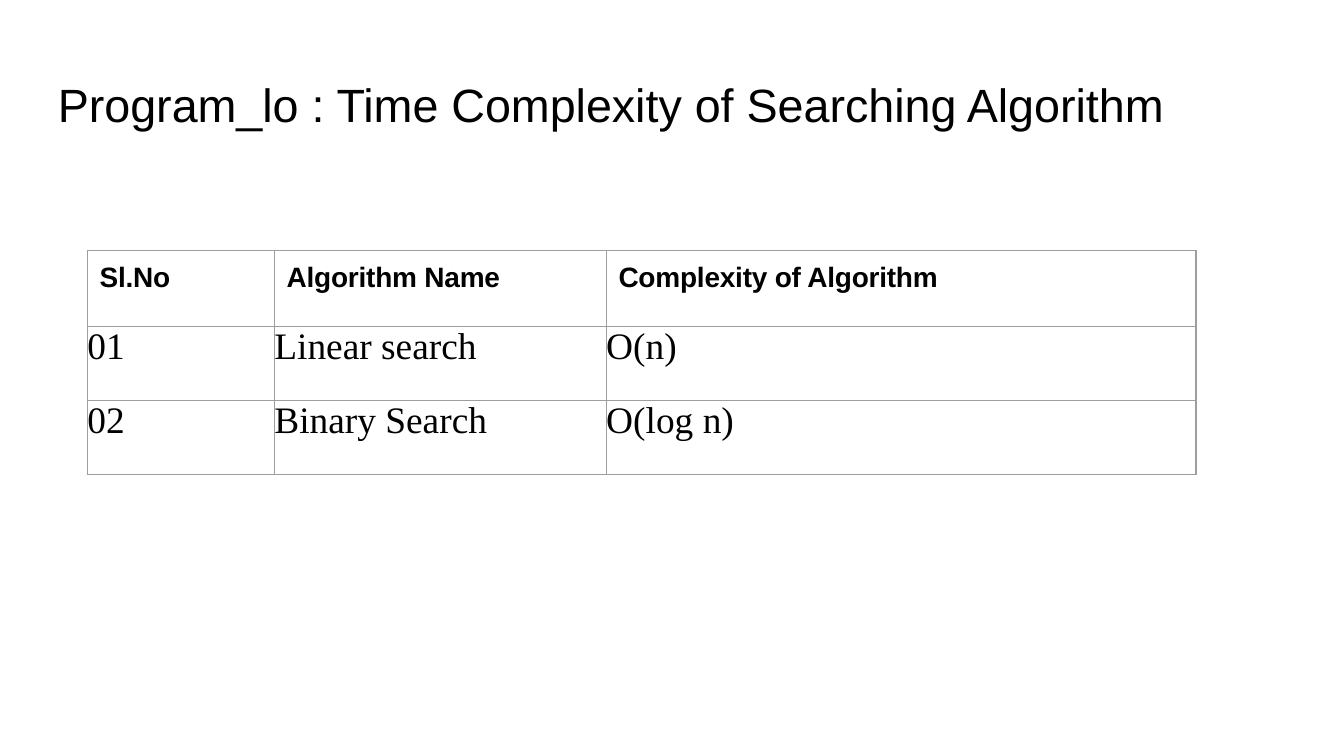
from lxml.etree import SubElement
from pptx import Presentation
from pptx.dml.color import RGBColor
from pptx.oxml.ns import qn
from pptx.util import Pt


def write(frame, text, format_values, color="000000"):
    """Put one formatted line of text into a text frame."""
    span = frame.paragraphs[0].add_run()
    span.text = text
    for name, value in format_values.items():
        setattr(span.font, name, value)
    span.font.color.rgb = RGBColor.from_string(color)


def add_borders(cell, color, width):
    """Draw a solid line on all four sides of a table cell."""
    properties = cell._tc.get_or_add_tcPr()
    for position, side in enumerate(("lnL", "lnR", "lnT", "lnB")):
        line = SubElement(properties, qn(f"a:{side}"), w=str(Pt(width)))
        properties.insert(position, line)
        fill = SubElement(line, qn("a:solidFill"))
        SubElement(fill, qn("a:srgbClr"), val=color)


TITLE_FORMAT = {"name": "Arial", "size": Pt(25), "bold": False}
HEADER_FORMAT = {"name": "Arial", "size": Pt(15), "bold": True}
BODY_FORMAT = {"name": "Times New Roman", "size": Pt(20), "bold": False}
NO_MARGINS = {"margin_left": 0, "margin_top": 0, "margin_right": 0, "margin_bottom": 0}
HEADER_MARGINS = NO_MARGINS | {"margin_left": Pt(6.6), "margin_top": Pt(6.2)}

deck = Presentation()
deck.slide_width, deck.slide_height = Pt(720), Pt(405)
page = deck.slides.add_slide(deck.slide_layouts[6])

# Title
title_box = page.shapes.add_textbox(Pt(30.2), Pt(39.6), Pt(660), Pt(32.4))
title_frame = title_box.text_frame
title_frame.word_wrap = True
for name, value in (NO_MARGINS | {"margin_left": Pt(0.8), "margin_top": Pt(1.2)}).items():
    setattr(title_frame, name, value)
write(title_frame, "Program_lo : Time Complexity of Searching Algorithm", TITLE_FORMAT)

# Complexity table
rows = [
    ("Sl.No", "Algorithm Name", "Complexity of Algorithm"),
    ("01", "Linear search", "O(n)"),
    ("02", "Binary Search", "O(log n)"),
]
column_widths = (100.2, 177.8, 316)
row_heights = (40.8, 39.6, 39.6)
table = page.shapes.add_table(
    len(rows), len(column_widths), Pt(46.8), Pt(134.1),
    Pt(sum(column_widths)), Pt(sum(row_heights)),
).table
table.first_row = False
table.horz_banding = False
for column, width in zip(table.columns, column_widths):
    column.width = Pt(width)

for row_index, texts in enumerate(rows):
    table.rows[row_index].height = Pt(row_heights[row_index])
    is_header = row_index == 0
    for column_index, text in enumerate(texts):
        cell = table.cell(row_index, column_index)
        margins = HEADER_MARGINS if is_header else NO_MARGINS
        for name, value in margins.items():
            setattr(cell, name, value)
        cell.fill.background()
        add_borders(cell, "9E9E9E", 0.75)
        write(cell.text_frame, text, HEADER_FORMAT if is_header else BODY_FORMAT)
        if is_header:
            # Slightly tightened letter spacing
            cell.text_frame.paragraphs[0].runs[0].font._element.set("spc", "-10")

deck.save("out.pptx")
